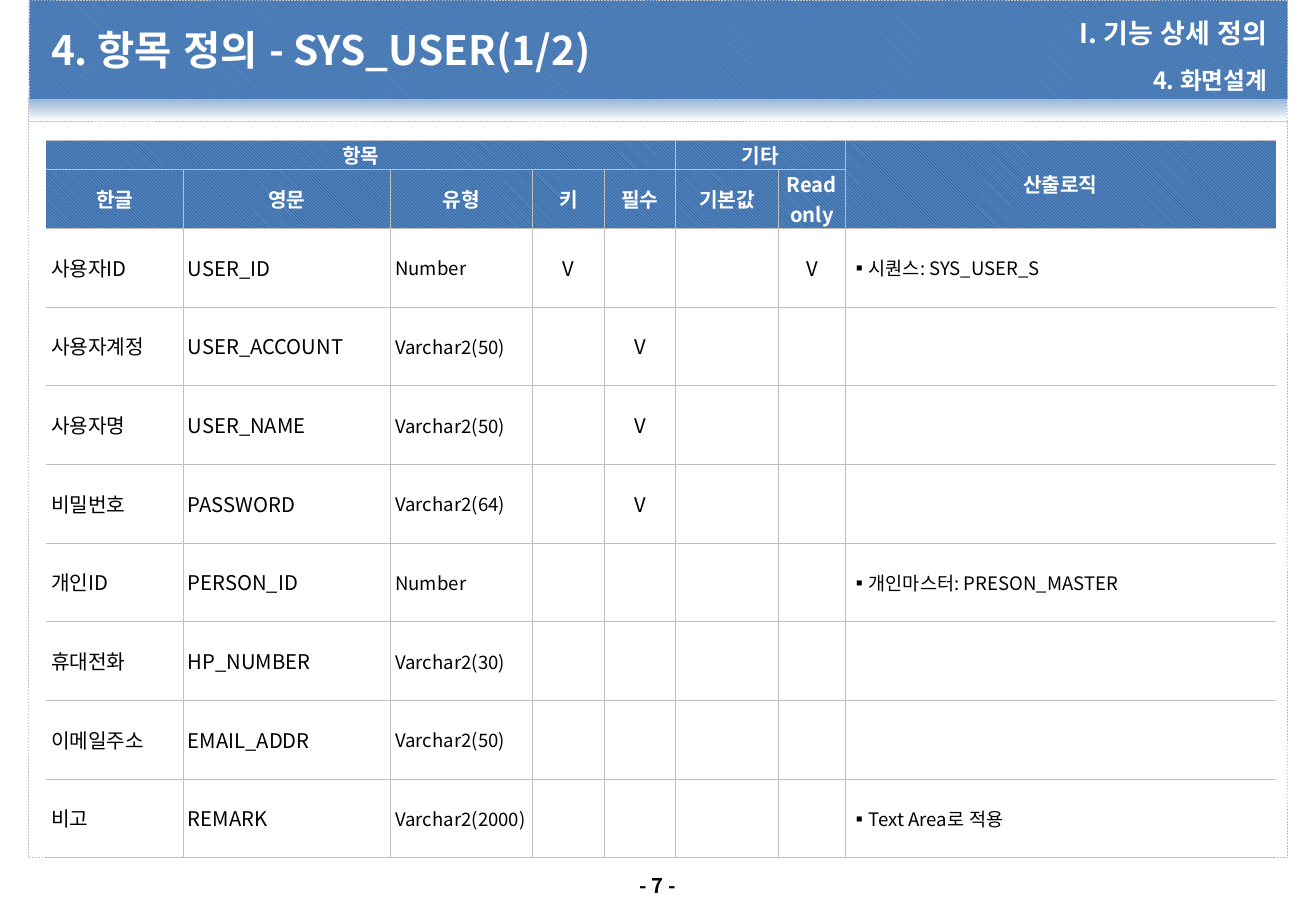
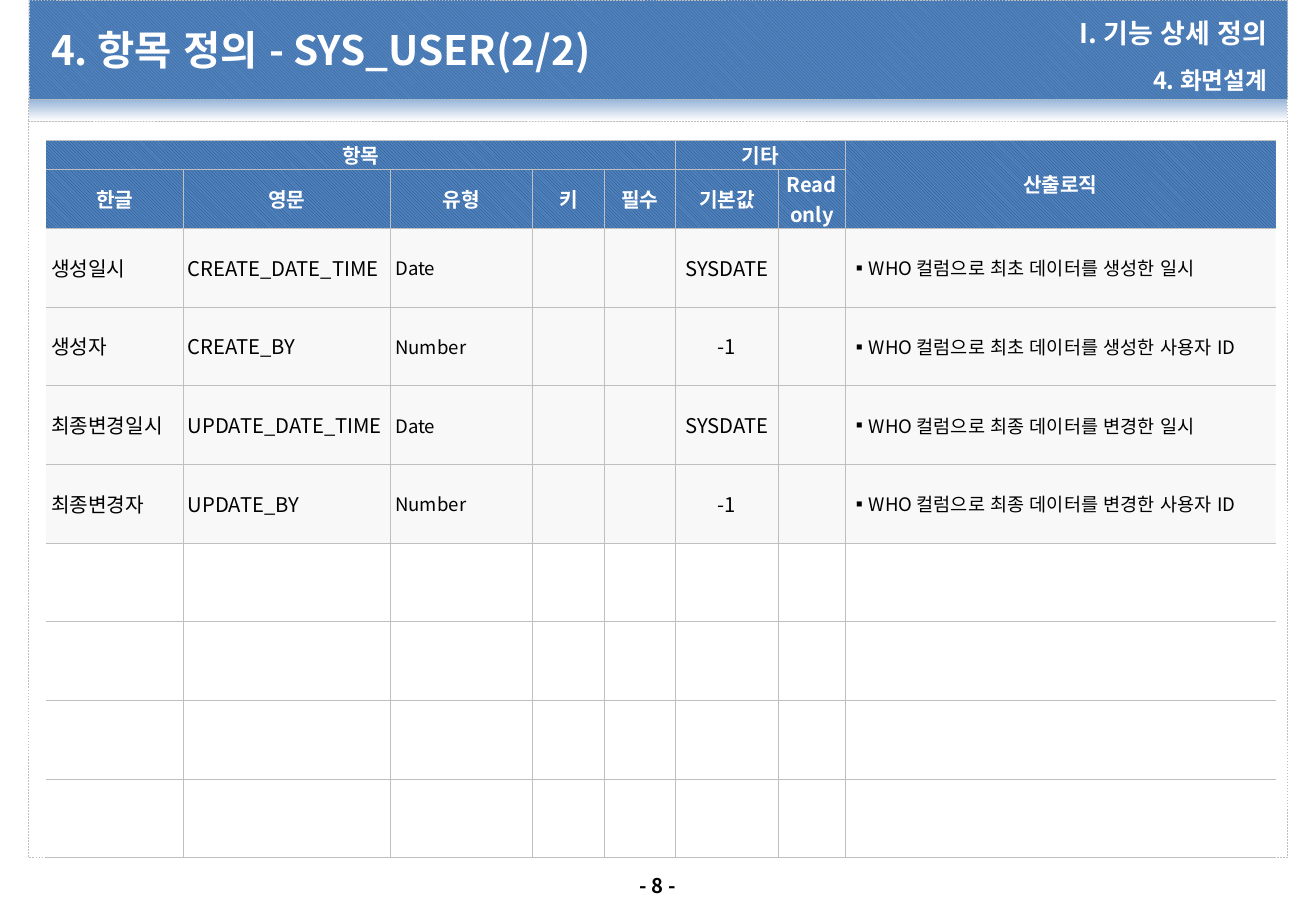
from dataclasses import dataclass

from lxml import etree
from pptx import Presentation
from pptx.dml.color import RGBColor
from pptx.enum.dml import MSO_LINE, MSO_PATTERN
from pptx.enum.lang import MSO_LANGUAGE_ID
from pptx.enum.shapes import MSO_SHAPE
from pptx.enum.text import MSO_ANCHOR, MSO_AUTO_SIZE, PP_ALIGN
from pptx.oxml.ns import qn
from pptx.util import Inches, Pt

RECT = MSO_SHAPE.RECTANGLE
DASH = MSO_LINE.DASH
HATCH = MSO_PATTERN.LIGHT_DOWNWARD_DIAGONAL
MIDDLE, TOP = MSO_ANCHOR.MIDDLE, MSO_ANCHOR.TOP
LEFT, CENTER, RIGHT = PP_ALIGN.LEFT, PP_ALIGN.CENTER, PP_ALIGN.RIGHT
FIT = MSO_AUTO_SIZE.SHAPE_TO_FIT_TEXT
KOREAN = MSO_LANGUAGE_ID.KOREAN

FONT = "Noto Sans CJK KR"
COLORS = {
    "white": "FFFFFF", "black": "000000", "rule": "BFBFBF", "blue": "4F81BD",
    "band": "376092", "head": "1F497D", "glow": "95B3D7", "shade": "F2F2F2",
}
WIDTH, HEIGHT = Inches(10.83), Inches(7.5)
INSET = Inches(0.04)
HAIRLINE = Pt(0.25)


@dataclass(frozen=True)
class Box:
    x: float
    y: float
    w: float
    h: float

    def emu(self) -> tuple[int, int, int, int]:
        return across(self.x), down(self.y), across(self.w), down(self.h)


@dataclass(frozen=True)
class Label:
    box: Box
    size: int
    align: PP_ALIGN
    color: str = "white"
    spaced: bool = False


@dataclass(frozen=True)
class Column:
    title: str
    width: float
    size: int = 12
    align: PP_ALIGN = CENTER
    bullet: str = ""


@dataclass(frozen=True)
class Page:
    number: int
    title: str
    shaded: bool
    rows: list[dict[str, str]]


def across(percent: float) -> int:
    return round(WIDTH * percent / 100)


def down(percent: float) -> int:
    return round(HEIGHT * percent / 100)


BAND = Box(2.18, 0, 95.66, 10.84)
GLOW = Box(2.18, 10.84, 95.66, 2.49)
FRAME = Box(2.18, 13.33, 95.66, 80.8)
TITLE = Label(Box(3.51, 1.07, 61.77, 8.8), 24, LEFT)
CHAPTER = Label(Box(65.28, 1.15, 31.39, 4.93), 16, RIGHT)
SECTION = Label(Box(65.28, 6.18, 31.39, 3.6), 14, RIGHT, spaced=True)
FOOTER = Label(Box(46.86, 95.2, 6.28, 4), 12, CENTER, "black")

COLUMNS = [
    Column("한글", 10.4, align=LEFT),
    Column("영문", 15.76, align=LEFT),
    Column("유형", 10.8, 11, LEFT),
    Column("키", 5.45),
    Column("필수", 5.42),
    Column("기본값", 7.83),
    Column("Read only", 5.08),
    Column("산출로직", 32.69, 11, LEFT, "▪"),
]
GROUPS = [("항목", 0, 0, 4), ("기타", 5, 0, 6), ("산출로직", 7, 1, 7)]
HEAD_ROWS = [3.2, 6.48]
BODY_ROWS = [8.64] * 8
TABLE_X, TABLE_Y = 3.51, 15.37


def field(korean: str, english: str, kind: str, logic: str = "", key: str = "",
          required: str = "", default: str = "", read_only: str = "") -> dict[str, str]:
    values = [korean, english, kind, key, required, default, read_only, logic]
    return dict(zip((c.title for c in COLUMNS), values))


PAGES = [
    Page(7, "4. 항목 정의 - SYS_USER(1/2)", False, [
        field("사용자ID", "USER_ID", "Number", "시퀀스: SYS_USER_S", key="V", read_only="V"),
        field("사용자계정", "USER_ACCOUNT", "Varchar2(50)", required="V"),
        field("사용자명", "USER_NAME", "Varchar2(50)", required="V"),
        field("비밀번호", "PASSWORD", "Varchar2(64)", required="V"),
        field("개인ID", "PERSON_ID", "Number", "개인마스터: PRESON_MASTER"),
        field("휴대전화", "HP_NUMBER", "Varchar2(30)"),
        field("이메일주소", "EMAIL_ADDR", "Varchar2(50)"),
        field("비고", "REMARK", "Varchar2(2000)", "Text Area로 적용"),
    ]),
    Page(8, "4. 항목 정의 - SYS_USER(2/2)", True, [
        field("생성일시", "CREATE_DATE_TIME", "Date",
              "WHO 컬럼으로 최초 데이터를 생성한 일시", default="SYSDATE"),
        field("생성자", "CREATE_BY", "Number",
              "WHO 컬럼으로 최초 데이터를 생성한 사용자 ID", default="-1"),
        field("최종변경일시", "UPDATE_DATE_TIME", "Date",
              "WHO 컬럼으로 최종 데이터를 변경한 일시", default="SYSDATE"),
        field("최종변경자", "UPDATE_BY", "Number",
              "WHO 컬럼으로 최종 데이터를 변경한 사용자 ID", default="-1"),
    ]),
]


def rgb(name: str) -> RGBColor:
    return RGBColor.from_string(COLORS[name])


def solid(fill, name: str) -> None:
    fill.solid()
    fill.fore_color.rgb = rgb(name)


def hatch(fill, name: str) -> None:
    fill.patterned()
    fill.pattern = HATCH
    fill.fore_color.rgb = rgb(name)
    fill.back_color.rgb = rgb("blue")


def write(p, text: str, size: int, align: PP_ALIGN, color: str, bold: bool) -> None:
    p.text = text
    p.alignment = align
    font = p.font
    font.size, font.bold, font.name = Pt(size), bold, FONT
    font.language_id = KOREAN
    font.color.rgb = rgb(color)
    etree.SubElement(font._element, qn("a:ea"), typeface=FONT)


def add_panel(s, box: Box):
    sp = s.shapes.add_shape(RECT, *box.emu())
    sp.shadow.inherit = False
    sp.line.color.rgb = rgb("rule")
    sp.line.width = HAIRLINE
    sp.line.dash_style = DASH
    return sp


def add_label(s, label: Label, text: str):
    tf = s.shapes.add_textbox(*label.box.emu()).text_frame
    tf.word_wrap = True
    tf.vertical_anchor = MIDDLE
    tf.margin_left = tf.margin_right = tf.margin_top = tf.margin_bottom = INSET
    p = tf.paragraphs[0]
    write(p, text, label.size, label.align, label.color, True)
    if label.spaced:
        p.line_spacing = 1.5
        p.space_before = p.space_after = Pt(label.size * 0.2)
    return tf


def add_backdrop(s, number: int) -> None:
    fill = add_panel(s, GLOW).fill
    fill.gradient()
    fill.gradient_angle = 270
    for stop, name in zip(fill.gradient_stops, ("glow", "white")):
        stop.color.rgb = rgb(name)
    solid(add_panel(s, FRAME).fill, "white")
    tf = add_label(s, FOOTER, f"- {number} -")
    tf.margin_left = tf.margin_right = Inches(0.1)
    tf.margin_top = tf.margin_bottom = Inches(0.05)
    tf.vertical_anchor = TOP
    tf.word_wrap = False
    tf.auto_size = FIT
    band = add_panel(s, BAND)
    band.rotation = 180
    hatch(band.fill, "band")


def set_borders(cell, col: int) -> None:
    tcPr = cell._tc.get_or_add_tcPr()
    outer = {"lnL": col == 0, "lnR": col == len(COLUMNS) - 1}
    for i, side in enumerate(("lnL", "lnR", "lnT", "lnB")):
        ln = etree.Element(qn(f"a:{side}"), w=str(HAIRLINE))
        if outer.get(side):
            etree.SubElement(ln, qn("a:noFill"))
        else:
            paint = etree.SubElement(ln, qn("a:solidFill"))
            etree.SubElement(paint, qn("a:srgbClr"), val=COLORS["rule"])
        tcPr.insert(i, ln)


def set_bullet(p, char: str) -> None:
    pPr = p._p.get_or_add_pPr()
    pPr.set("marL", str(Inches(0.1)))
    pPr.set("indent", str(-Inches(0.1)))
    defRPr = pPr.find(qn("a:defRPr"))
    defRPr.addprevious(etree.Element(qn("a:buFont"), typeface=FONT))
    defRPr.addprevious(etree.Element(qn("a:buChar"), char=char))
    p.runs[0].font.size = p.font.size


def style_cell(cell, col: int) -> None:
    cell.vertical_anchor = MIDDLE
    cell.margin_left = cell.margin_right = INSET
    cell.margin_top = cell.margin_bottom = 0
    set_borders(cell, col)


def fill_head(cell, text: str) -> None:
    hatch(cell.fill, "head")
    write(cell.text_frame.paragraphs[0], text, 12, CENTER, "white", True)


def fill_body(cell, column: Column, text: str, shaded: bool) -> None:
    solid(cell.fill, "shade" if shaded else "white")
    if shaded:
        color = cell._tc.tcPr.find(qn("a:solidFill")).find(qn("a:srgbClr"))
        etree.SubElement(color, qn("a:alpha"), val="50000")
    p = cell.text_frame.paragraphs[0]
    write(p, text, column.size, column.align, "black", False)
    if text and column.bullet:
        set_bullet(p, column.bullet)


def add_field_table(s, page: Page) -> None:
    heights = HEAD_ROWS + BODY_ROWS
    box = Box(TABLE_X, TABLE_Y, sum(c.width for c in COLUMNS), sum(heights))
    table = s.shapes.add_table(len(heights), len(COLUMNS), *box.emu()).table
    table.first_row = table.horz_banding = False
    for row, height in zip(table.rows, heights):
        row.height = down(height)
    heads = len(HEAD_ROWS)
    group_titles = {first: title for title, first, _, _ in GROUPS}
    for col, column in enumerate(COLUMNS):
        table.columns[col].width = across(column.width)
        for row in range(len(heights)):
            cell = table.cell(row, col)
            style_cell(cell, col)
            if row == 0:
                fill_head(cell, group_titles.get(col, ""))
            elif row < heads:
                fill_head(cell, "" if column.title in group_titles.values() else column.title)
            else:
                filled = row - heads < len(page.rows)
                text = page.rows[row - heads][column.title] if filled else ""
                fill_body(cell, column, text, page.shaded and filled)
    for _, first, last_row, last_col in GROUPS:
        table.cell(0, first).merge(table.cell(last_row, last_col))


def add_page(prs, page: Page) -> None:
    s = prs.slides.add_slide(prs.slide_layouts[6])
    add_backdrop(s, page.number)
    add_label(s, CHAPTER, "I. 기능 상세 정의")
    add_label(s, TITLE, page.title)
    add_label(s, SECTION, "4. 화면설계")
    add_field_table(s, page)


prs = Presentation()
prs.slide_width, prs.slide_height = WIDTH, HEIGHT
for page in PAGES:
    add_page(prs, page)
prs.save("out.pptx")
